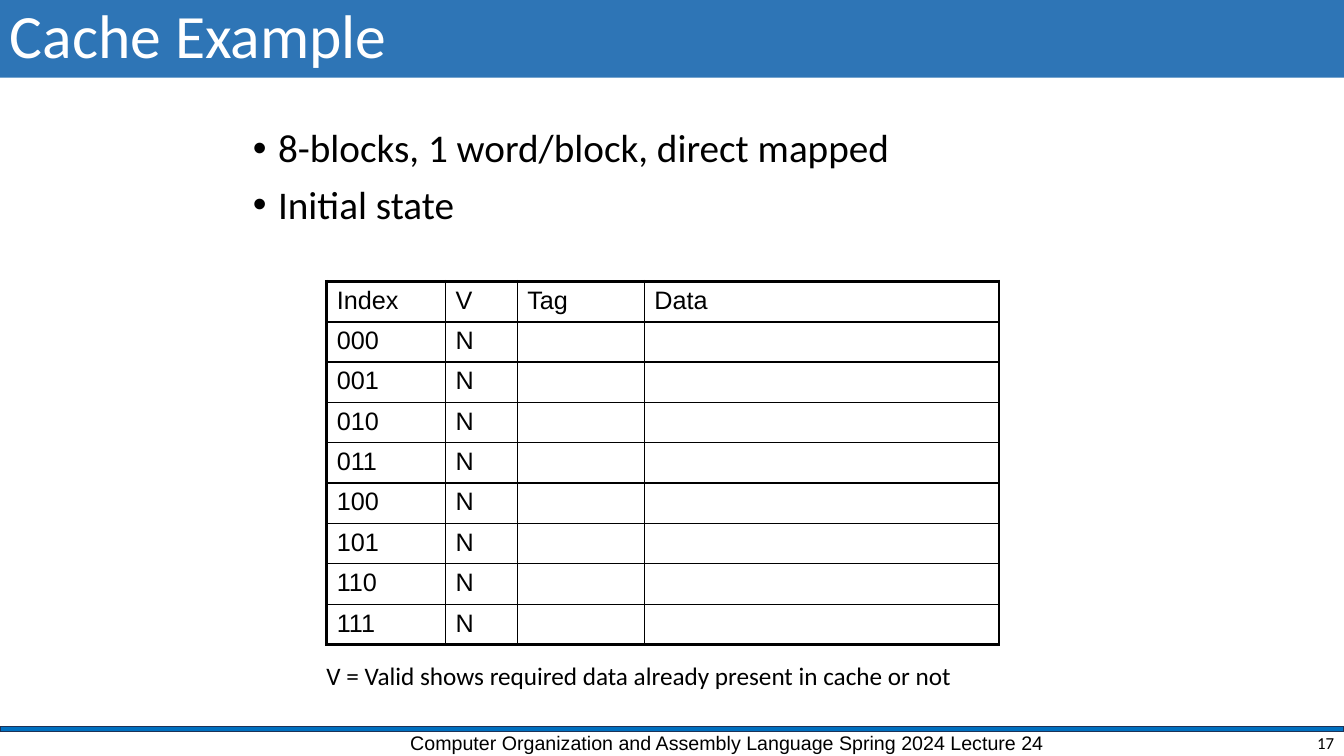
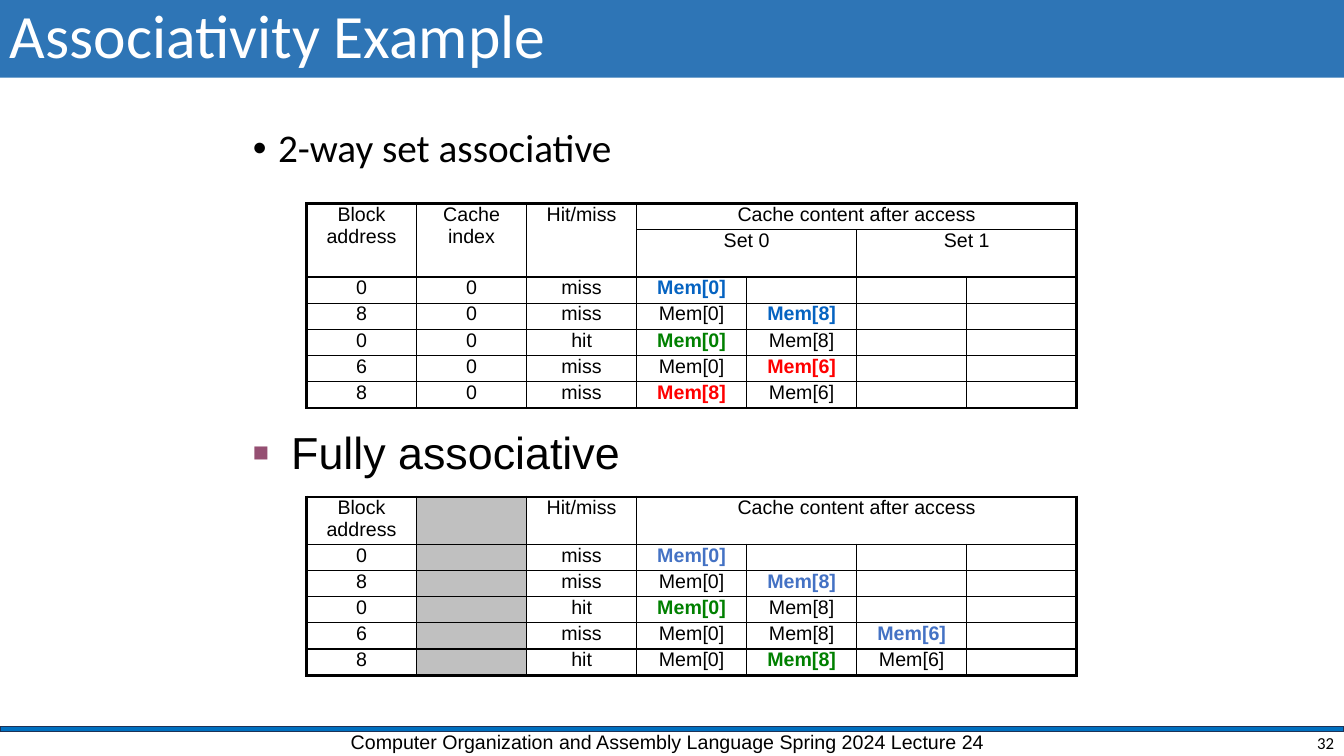
"""Build two lecture slides on cache tables."""
from dataclasses import dataclass

from lxml.etree import SubElement
from pptx import Presentation
from pptx.dml.color import RGBColor as RGB
from pptx.enum.shapes import MSO_SHAPE as Shape
from pptx.enum.text import MSO_ANCHOR as Anchor, PP_ALIGN as Align
from pptx.oxml.ns import qn
from pptx.util import Inches, Pt


@dataclass(frozen=True)
class Theme:
    head: str = "2E75B6"
    rule: str = "0070C0"
    edge: str = "1E3256"
    ink: str = "000000"
    white: str = "FFFFFF"
    grey: str = "C0C0C0"
    mark: str = "954F72"
    link: str = "0563C1"
    blue: str = "4472C4"
    green: str = "008000"
    red: str = "FF0000"
    sans: str = "Calibri"
    plain: str = "Arial"
    title: int = 44
    large: int = 32
    body: int = 28
    note: int = 18
    small: int = 14
    page: int = 12
    thin: float = 1
    mid: float = 1.5
    thick: float = 2.25


T = Theme()
WIDE, HIGH = 13.33, 7.5
FOOTER = "Computer Organization and Assembly Language Spring 2024 Lecture 24"
DOT = dict(char="•", hang=0.25)
BOX = dict(char="■", hang=0.38, color=T.mark, scale=60)
AFTER = "Cache content after access"

STATE = [["Index", "V", "Tag", "Data"]] + [[f"{n:03b}", "N", "", ""] for n in range(8)]

TWO_WAY = [
    ["Block address", "Cache index", "Hit/miss", AFTER, "", "", ""],
    ["", "", "", "Set 0", "", "Set 1", ""],
    ["0", "0", "miss", ("Mem[0]", T.link), "", "", ""],
    ["8", "0", "miss", "Mem[0]", ("Mem[8]", T.link), "", ""],
    ["0", "0", "hit", ("Mem[0]", T.green), "Mem[8]", "", ""],
    ["6", "0", "miss", "Mem[0]", ("Mem[6]", T.red), "", ""],
    ["8", "0", "miss", ("Mem[8]", T.red), "Mem[6]", "", ""],
]
TWO_SPANS = [(0, 0, 1, 0), (0, 1, 1, 1), (0, 2, 1, 2), (0, 3, 0, 6), (1, 3, 1, 4), (1, 5, 1, 6)]

FULL = [
    ["Block address", "", "Hit/miss", AFTER, "", "", ""],
    ["0", "", "miss", ("Mem[0]", T.blue), "", "", ""],
    ["8", "", "miss", "Mem[0]", ("Mem[8]", T.blue), "", ""],
    ["0", "", "hit", ("Mem[0]", T.green), "Mem[8]", "", ""],
    ["6", "", "miss", "Mem[0]", "Mem[8]", ("Mem[6]", T.blue), ""],
    ["8", "", "hit", "Mem[0]", ("Mem[8]", T.green), "Mem[6]", ""],
]
FULL_SPANS = [(0, 3, 0, 6)]

SLIDES = [
    dict(
        title="Cache Example", page="17", foot=(3.97, 7.2, 6.59, 0.31),
        texts=[
            (["8-blocks, 1 word/block, direct mapped", "Initial state"], (2.41, 1.23, 9.05, 1.46),
             dict(size=T.body, bullet=DOT, lead=0.9, gap=10)),
            (["V = Valid shows required data already present in cache or not"], (3.14, 6.5, 6.7, 0.4),
             dict(size=T.note)),
        ],
        grids=[
            dict(rows=STATE, at=(3.24, 2.79), cols=[1.18, 0.71, 1.26, 3.52], high=[0.4] * 9,
                 size=T.note, pad=0.05, rule=T.mid),
        ],
    ),
    dict(
        title="Associativity Example", page="32", foot=(3.38, 7.19, 6.87, 0.31),
        texts=[
            (["2-way set associative"], (2.41, 1.23, 9.05, 0.79),
             dict(size=T.body, bullet=DOT, lead=0.9)),
            (["Fully associative"], (2.41, 4.22, 8.5, 0.63),
             dict(size=T.large, font=T.plain, bullet=BOX, lead=0.9)),
        ],
        grids=[
            dict(rows=TWO_WAY, at=(3.04, 2.02), cols=[7.64 / 7] * 7, high=[0.26, 0.44] + [0.26] * 5,
                 spans=TWO_SPANS, align=Align.CENTER),
            dict(rows=FULL, at=(3.04, 4.93), cols=[7.64 / 7] * 7, high=[0.47] + [0.26] * 5,
                 spans=FULL_SPANS, align=Align.CENTER, shade=1),
        ],
    ),
]


def add_mark(para, char, hang, color=None, scale=None):
    props = para._p.get_or_add_pPr()
    props.set("marL", str(Inches(hang)))
    props.set("indent", str(-Inches(hang)))
    if color:
        SubElement(SubElement(props, qn("a:buClr")), qn("a:srgbClr"), val=color)
    if scale:
        SubElement(props, qn("a:buSzPct"), val=str(scale * 1000))
    SubElement(props, qn("a:buFont"), typeface=T.plain)
    SubElement(props, qn("a:buChar"), char=char)


def write(frame, *lines, size, font=T.sans, color=T.ink, bold=False, align=Align.LEFT,
          bullet=None, lead=None, gap=0):
    frame.word_wrap = True
    for i, line in enumerate(lines):
        para = frame.add_paragraph() if i else frame.paragraphs[0]
        if bullet:
            add_mark(para, **bullet)
        para.alignment = align
        if lead:
            para.line_spacing = lead
        if i and gap:
            para.space_before = Pt(gap)
        if not line:
            SubElement(para._p, qn("a:endParaRPr"), sz=str(size * 100))
            continue
        run = para.add_run()
        run.text = line
        run.font.size, run.font.name, run.font.bold = Pt(size), font, bold
        run.font.color.rgb = RGB.from_string(color)


def add_text(slide, at, *lines, anchor=Anchor.TOP, **style):
    frame = slide.shapes.add_textbox(*map(Inches, at)).text_frame
    frame.vertical_anchor = anchor
    write(frame, *lines, **style)


def add_bar(slide, at, fill, edge=None):
    bar = slide.shapes.add_shape(Shape.RECTANGLE, *map(Inches, at))
    bar.shadow.inherit = False
    bar.fill.solid()
    bar.fill.fore_color.rgb = RGB.from_string(fill)
    if edge:
        bar.line.color.rgb = RGB.from_string(edge)
        bar.line.width = Pt(T.thin)
    else:
        bar.line.fill.background()
    return bar


def set_edges(cell, **widths):
    props = cell._tc.get_or_add_tcPr()
    for side, width in widths.items():
        line = SubElement(props, qn(f"a:ln{side}"), w=str(Pt(width)))
        SubElement(SubElement(line, qn("a:solidFill")), qn("a:srgbClr"), val=T.ink)


def add_grid(slide, rows, at, cols, high, spans=(), size=T.small, pad=0, rule=T.thin,
             align=Align.LEFT, shade=None):
    place = map(Inches, (*at, sum(cols), sum(high)))
    table = slide.shapes.add_table(len(rows), len(cols), *place).table
    table.first_row = table.horz_banding = False
    for col, width in zip(table.columns, cols):
        col.width = Inches(width)
    for row, height in zip(table.rows, high):
        row.height = Inches(height)
    for top, left, low, right in spans:
        table.cell(top, left).merge(table.cell(low, right))
    for r, row in enumerate(rows):
        for c, item in enumerate(row):
            cell = table.cell(r, c)
            if cell.is_spanned:
                continue
            last_r = r + cell.span_height == len(rows)
            last_c = c + cell.span_width == len(cols)
            set_edges(
                cell,
                L=T.thin if c else T.thick,
                R=T.thick if last_c else T.thin,
                T={0: T.thick, 1: rule}.get(r, T.thin),
                B=T.thick if last_r else T.thin if r else rule,
            )
            if c == shade:
                cell.fill.solid()
                cell.fill.fore_color.rgb = RGB.from_string(T.grey)
            else:
                cell.fill.background()
            cell.margin_left = cell.margin_right = Inches(0.1)
            cell.margin_top = cell.margin_bottom = Inches(pad)
            text, color = (item, T.ink) if isinstance(item, str) else item
            write(cell.text_frame, text, size=size, font=T.plain, color=color,
                  bold=color != T.ink, align=align)


def add_frame(slide, title, page, foot):
    add_bar(slide, (0, 7.21, WIDE, 0.05), T.rule, T.edge)
    add_text(slide, foot, FOOTER, size=T.small, font=T.plain)
    head = add_bar(slide, (0, 0, WIDE, 0.77), T.head).text_frame
    head.vertical_anchor = Anchor.MIDDLE
    write(head, title, size=T.title, color=T.white, lead=0.9)
    add_text(slide, (10.33, 7.24, 3, 0.25), page, size=T.page, align=Align.RIGHT,
             anchor=Anchor.MIDDLE)


def main():
    deck = Presentation()
    deck.slide_width, deck.slide_height = Inches(WIDE), Inches(HIGH)
    for data in SLIDES:
        slide = deck.slides.add_slide(deck.slide_layouts[6])
        add_frame(slide, data["title"], data["page"], data["foot"])
        for lines, at, style in data["texts"]:
            add_text(slide, at, *lines, **style)
        for grid in data["grids"]:
            add_grid(slide, **grid)
    deck.save("out.pptx")


if __name__ == "__main__":
    main()
